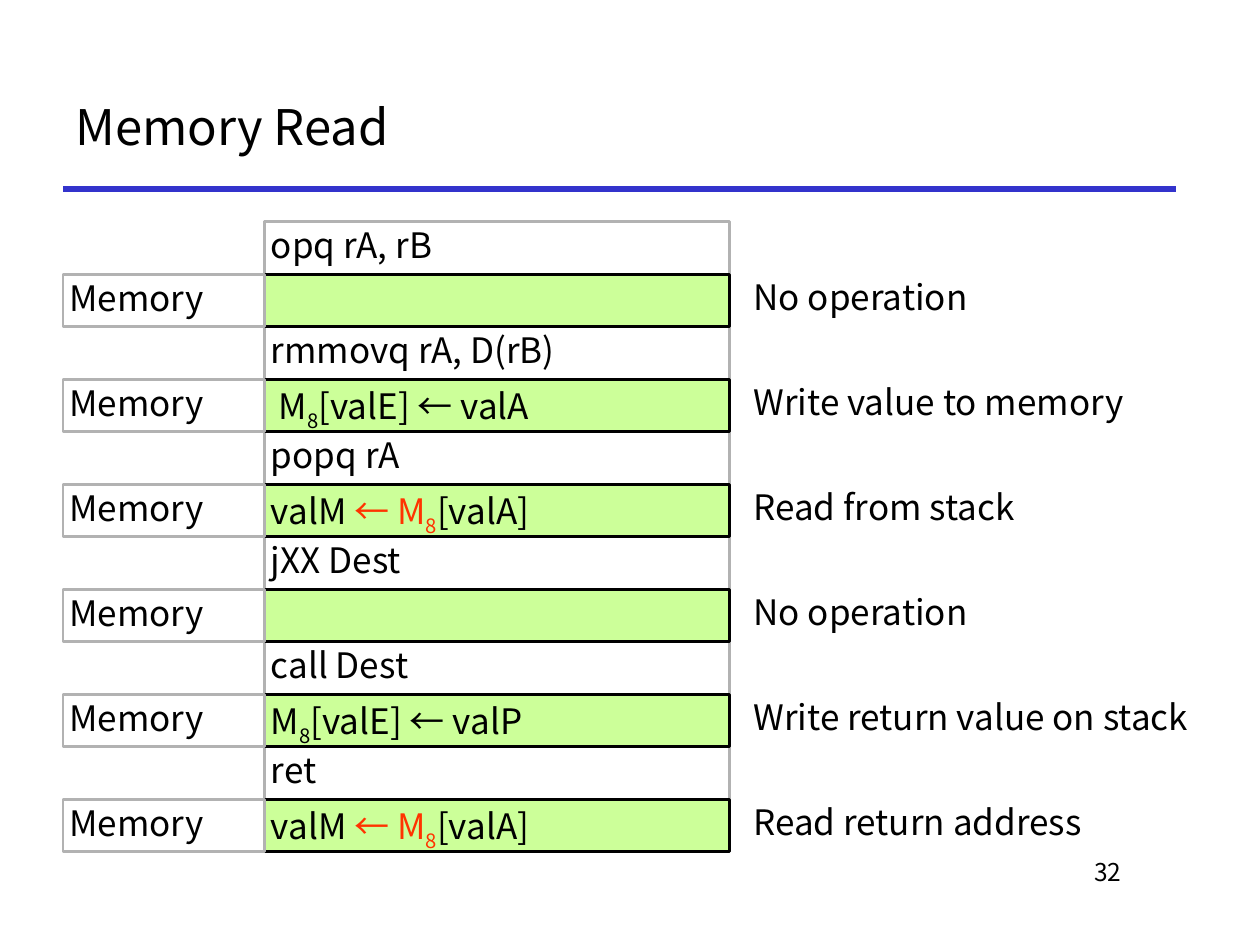
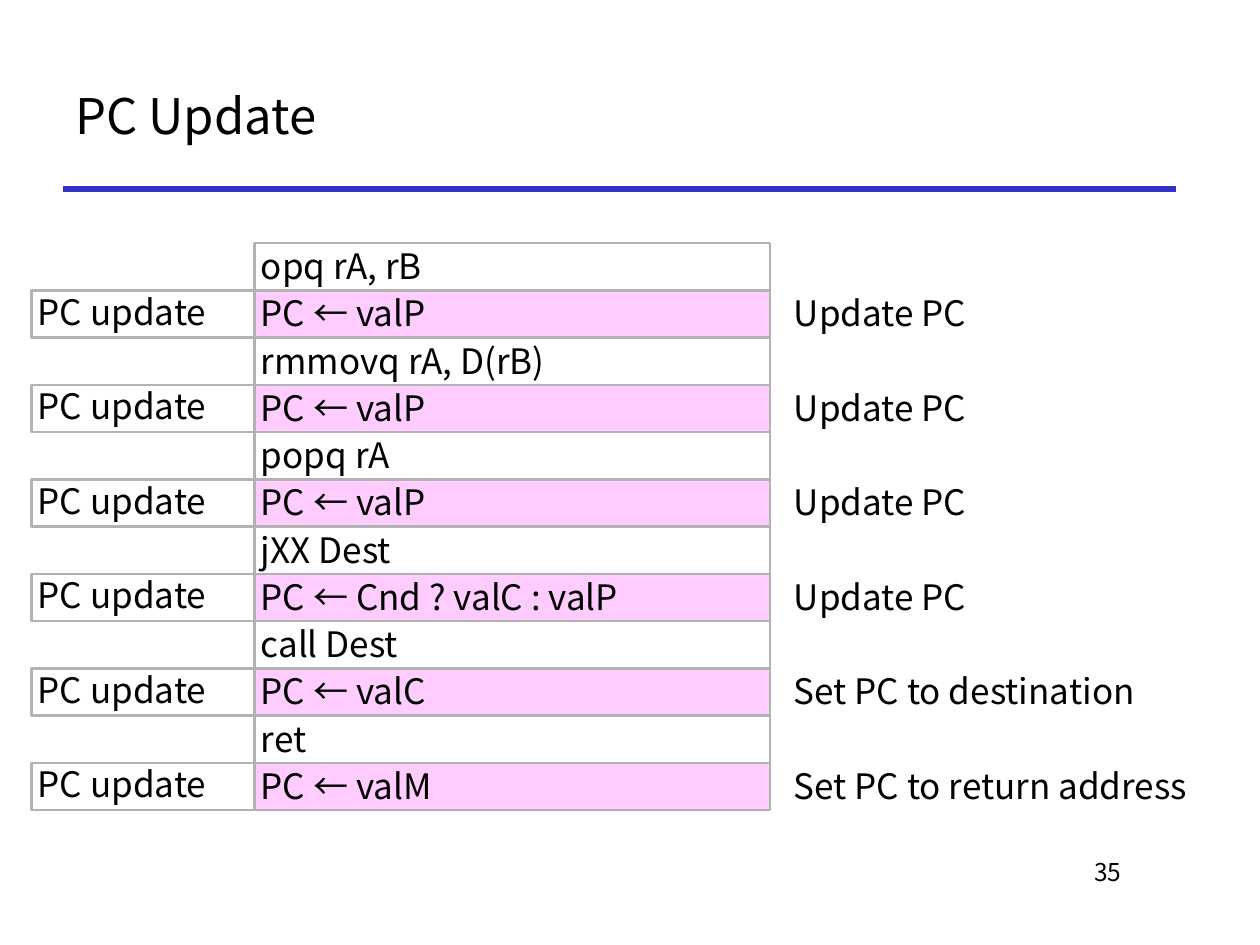
from dataclasses import dataclass

from lxml.etree import SubElement
from pptx import Presentation
from pptx.dml.color import RGBColor
from pptx.enum.shapes import MSO_CONNECTOR, MSO_SHAPE
from pptx.enum.text import MSO_ANCHOR, PP_ALIGN
from pptx.oxml.ns import qn
from pptx.util import Inches, Pt

FONT = "Noto Sans CJK KR"
BLACK, GREY, BLUE, RED = "000000", "B2B2B2", "3333CC", "FF3300"
GREEN, PINK = "CCFF99", "FFCCFF"
INSTRUCTIONS = ["opq rA, rB", "rmmovq rA, D(rB)", "popq rA", "jXX Dest", "call Dest", "ret"]


@dataclass
class Grid:
    """Columns and row height of a stage chart, in inches."""
    label_left: float
    step_left: float
    step_width: float
    note_left: float
    note_width: float
    top: float
    row_height: float


@dataclass
class Span:
    text: str
    color: str = BLACK
    subscript: bool = False


def rgb(value):
    return RGBColor.from_string(value)


def write(shape, spans, size=20, inset=None, anchor=MSO_ANCHOR.TOP,
          align=PP_ALIGN.LEFT, line_spacing=None):
    """Fill a shape with one paragraph; spans is a string or a list of Span."""
    frame = shape.text_frame
    frame.word_wrap = True
    frame.vertical_anchor = anchor
    if inset is not None:
        frame.margin_left = frame.margin_right = Inches(inset)
        frame.margin_top = frame.margin_bottom = Inches(inset)
    para = frame.paragraphs[0]
    para.alignment = align
    para.line_spacing = line_spacing
    para.font.name = FONT
    para.font.size = Pt(size)
    para.font.color.rgb = rgb(BLACK)
    for span in [Span(spans)] if isinstance(spans, str) else spans:
        run = para.add_run()
        run.text = span.text
        run.font.color.rgb = rgb(span.color)
        if span.subscript:
            run._r.get_or_add_rPr().set("baseline", "-25000")


def add_text(page, left, top, width, height, text, **style):
    box = page.shapes.add_textbox(Inches(left), Inches(top), Inches(width), Inches(height))
    write(box, text, **style)


def add_cell(page, left, top, width, height, spans, fill=None, line=GREY,
             anchor=MSO_ANCHOR.TOP):
    cell = page.shapes.add_shape(MSO_SHAPE.RECTANGLE, Inches(left), Inches(top),
                                 Inches(width), Inches(height))
    cell.shadow.inherit = False
    if fill:
        cell.fill.solid()
        cell.fill.fore_color.rgb = rgb(fill)
    else:
        cell.fill.background()
    cell.line.color.rgb = rgb(line)
    cell.line.width = Pt(1.5)
    if spans:
        write(cell, spans, inset=0.05, anchor=anchor, line_spacing=0.9)


def add_title_rule(page):
    rule = page.shapes.add_connector(MSO_CONNECTOR.STRAIGHT, Inches(0.5), Inches(1.5),
                                     Inches(9.33), Inches(1.5))
    rule.line.color.rgb = rgb(BLUE)
    rule.line.width = Pt(3)
    SubElement(rule._element.spPr, qn("a:effectLst"))


def add_page(deck, title, title_height, number):
    page = deck.slides.add_slide(deck.slide_layouts[6])
    add_title_rule(page)
    add_text(page, 7.58, 6.75, 1.42, 0.5, str(number), size=14, align=PP_ALIGN.RIGHT)
    add_text(page, 0.5, 0.5, 8.83, title_height, title, size=28, anchor=MSO_ANCHOR.MIDDLE)
    return page


def add_stage_chart(page, grid, stage, steps, fill, line):
    """Draw each instruction above its step for one stage, with a note beside it."""
    height = grid.row_height
    pair_tops = [grid.top + 2 * height * index for index in range(len(INSTRUCTIONS))]
    for top, instruction in zip(pair_tops, INSTRUCTIONS):
        add_cell(page, grid.step_left, top, grid.step_width, height, instruction)
    for pair_top, (step, note) in zip(pair_tops, steps):
        top = pair_top + height
        add_cell(page, grid.step_left, top, grid.step_width, height, step, fill, line)
        add_cell(page, grid.label_left, top, grid.step_left - grid.label_left, height,
                 stage, anchor=MSO_ANCHOR.MIDDLE)
        add_text(page, grid.note_left, top, grid.note_width, height, note,
                 inset=0.05, line_spacing=0.9)


def memory_write(value, target="M"):
    return [Span(target), Span("8", subscript=True), Span(f"[valE] ← {value}")]


def main():
    deck = Presentation()
    deck.slide_width, deck.slide_height = Inches(10), Inches(7.5)

    memory_read = [Span("valM "), Span("← M", RED), Span("8", RED, True), Span("[valA]")]
    memory_steps = [
        (None, "No operation"),
        (memory_write("valA", " M"), "Write value to memory"),
        (memory_read, "Read from stack"),
        (None, "No operation"),
        (memory_write("valP"), "Write return value on stack"),
        (memory_read, "Read return address"),
    ]
    memory_grid = Grid(label_left=0.5, step_left=2.1, step_width=3.69, note_left=5.93,
                       note_width=3.69, top=1.76, row_height=5 / 12)
    page = add_page(deck, "Memory Read", 1, 32)
    add_stage_chart(page, memory_grid, "Memory", memory_steps, GREEN, BLACK)

    next_address = ("PC ← valP", "Update PC")
    update_steps = [next_address] * 3 + [
        ("PC ← Cnd ? valC : valP", "Update PC"),
        ("PC ← valC", "Set PC to destination"),
        ("PC ← valM", "Set PC to return address"),
    ]
    update_grid = Grid(label_left=0.25, step_left=2.02, step_width=4.09, note_left=6.25,
                       note_width=3.58, top=1.93, row_height=3 / 8)
    page = add_page(deck, "PC Update", 0.83, 35)
    add_stage_chart(page, update_grid, "PC update", update_steps, PINK, GREY)

    deck.save("out.pptx")


if __name__ == "__main__":
    main()
